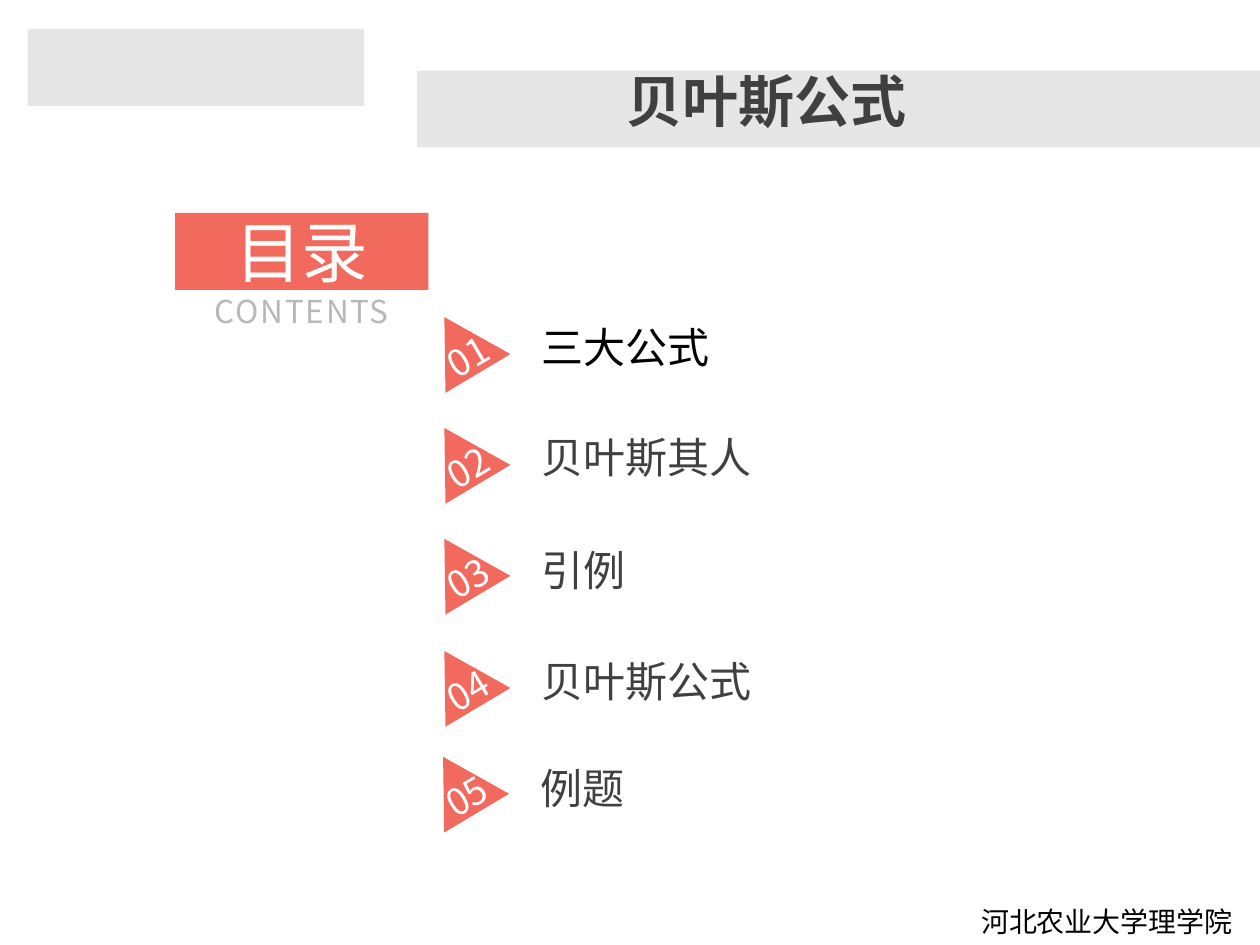
from dataclasses import dataclass
from typing import Any

from lxml import etree
from pptx import Presentation
from pptx.dml.color import RGBColor
from pptx.enum import shapes, text
from pptx.oxml import ns
from pptx.util import Inches, Pt

FONT = "Noto Sans CJK SC"
CORAL = RGBColor(0xF2, 0x69, 0x5E)
PALE = RGBColor(0xE6, 0xE6, 0xE6)
SILVER = RGBColor(0xB8, 0xB8, 0xB8)
DARK = RGBColor(0x40, 0x40, 0x40)
BLACK = RGBColor(0, 0, 0)
WHITE = RGBColor(255, 255, 255)

MARKER_WIDTH, MARKER_HEIGHT = 0.6, 0.52
MARKER_ROTATION = 329.2
LABEL_OFFSET = 0.94


@dataclass
class Style:
    size: float
    color: RGBColor
    align: text.PP_ALIGN = text.PP_ALIGN.LEFT
    anchor: text.MSO_ANCHOR = text.MSO_ANCHOR.MIDDLE
    insets: tuple[float, float, float, float] = (0, 0, 0, 0)
    bold: bool = False
    spacing: float = 0


@dataclass
class Entry:
    label: str
    left: float
    marker_top: float
    label_top: float
    color: RGBColor = DARK


ENTRIES = [
    Entry("三大公式", 3.36, 2.48, 2.51, BLACK),
    Entry("贝叶斯其人", 3.36, 3.36, 3.38),
    Entry("引例", 3.36, 4.24, 4.28),
    Entry("贝叶斯公式", 3.36, 5.13, 5.16),
    Entry("例题", 3.35, 5.97, 6.01),
]

CENTER, RIGHT = text.PP_ALIGN.CENTER, text.PP_ALIGN.RIGHT
TOP = text.MSO_ANCHOR.TOP
PADDED = (0.1, 0.05, 0.1, 0.05)
FOOTER = Style(16, BLACK, RIGHT, TOP, PADDED)
TITLE = Style(32, DARK, RIGHT, insets=(0.09, 0.04, 0.09, 0.04), bold=True)
HEADING = Style(38, WHITE, CENTER)
SUBHEADING = Style(18, SILVER, CENTER, TOP, spacing=1)
NUMBER = Style(21, WHITE, CENTER, insets=(0, 0.2, 0, 0))


def write(shape: Any, words: str, style: Style) -> None:
    frame = shape.text_frame
    left, top, right, bottom = map(Inches, style.insets)
    frame_format = {
        "word_wrap": True,
        "vertical_anchor": style.anchor,
        "margin_left": left,
        "margin_top": top,
        "margin_right": right,
        "margin_bottom": bottom,
    }
    for name, value in frame_format.items():
        setattr(frame, name, value)
    para = frame.paragraphs[0]
    para.alignment = style.align
    span = para.add_run()
    span.text = words
    font_format = {"name": FONT, "size": Pt(style.size), "bold": style.bold}
    for name, value in font_format.items():
        setattr(span.font, name, value)
    span.font.color.rgb = style.color
    properties = span._r.get_or_add_rPr()
    etree.SubElement(properties, ns.qn("a:ea"), typeface=FONT)
    if style.spacing:
        properties.set("spc", str(int(style.spacing * 100)))


def paint(shape: Any, color: RGBColor) -> None:
    shape.shadow.inherit = False
    shape.fill.solid()
    shape.fill.fore_color.rgb = color
    shape.line.fill.background()


def add_bar(page: Any, at: tuple[float, ...], color: RGBColor) -> Any:
    bar = page.shapes.add_shape(shapes.MSO_SHAPE.RECTANGLE, *map(Inches, at))
    paint(bar, color)
    return bar


def add_text(page: Any, at: tuple[float, ...], words: str, style: Style) -> Any:
    box = page.shapes.add_textbox(*map(Inches, at))
    write(box, words, style)
    return box


def add_entry(page: Any, number: int, entry: Entry) -> None:
    label_at = (entry.left + LABEL_OFFSET, entry.label_top, 4.05, 0.49)
    add_text(page, label_at, entry.label, Style(24, entry.color))
    left, top = Inches(entry.left), Inches(entry.marker_top)
    width, height = Inches(MARKER_WIDTH), Inches(MARKER_HEIGHT)
    outline = page.shapes.build_freeform(left + width // 2, top)
    outline.add_line_segments([(left + width, top + height), (left, top + height)])
    marker = outline.convert_to_shape()
    marker.rotation = MARKER_ROTATION
    paint(marker, CORAL)
    write(marker, f"{number:02}", NUMBER)


def main() -> None:
    deck = Presentation()
    deck.slide_width, deck.slide_height = Inches(10), Inches(7.5)
    page = deck.slides.add_slide(deck.slide_layouts[6])
    footer = add_text(page, (4.37, 7.13, 5.51, 0.37), "河北农业大学理学院", FOOTER)
    footer.text_frame.auto_size = text.MSO_AUTO_SIZE.SHAPE_TO_FIT_TEXT
    add_bar(page, (3.31, 0.56, 6.69, 0.61), PALE)
    add_bar(page, (0.22, 0.23, 2.67, 0.61), PALE)
    add_text(page, (4.59, 0.17, 2.7, 1.25), "贝叶斯公式", TITLE)
    write(add_bar(page, (1.39, 1.69, 2.01, 0.61), CORAL), "目录", HEADING)
    add_text(page, (1.39, 2.32, 2.01, 0.53), "CONTENTS", SUBHEADING)
    for number, entry in enumerate(ENTRIES, start=1):
        add_entry(page, number, entry)
    deck.save("out.pptx")


if __name__ == "__main__":
    main()
